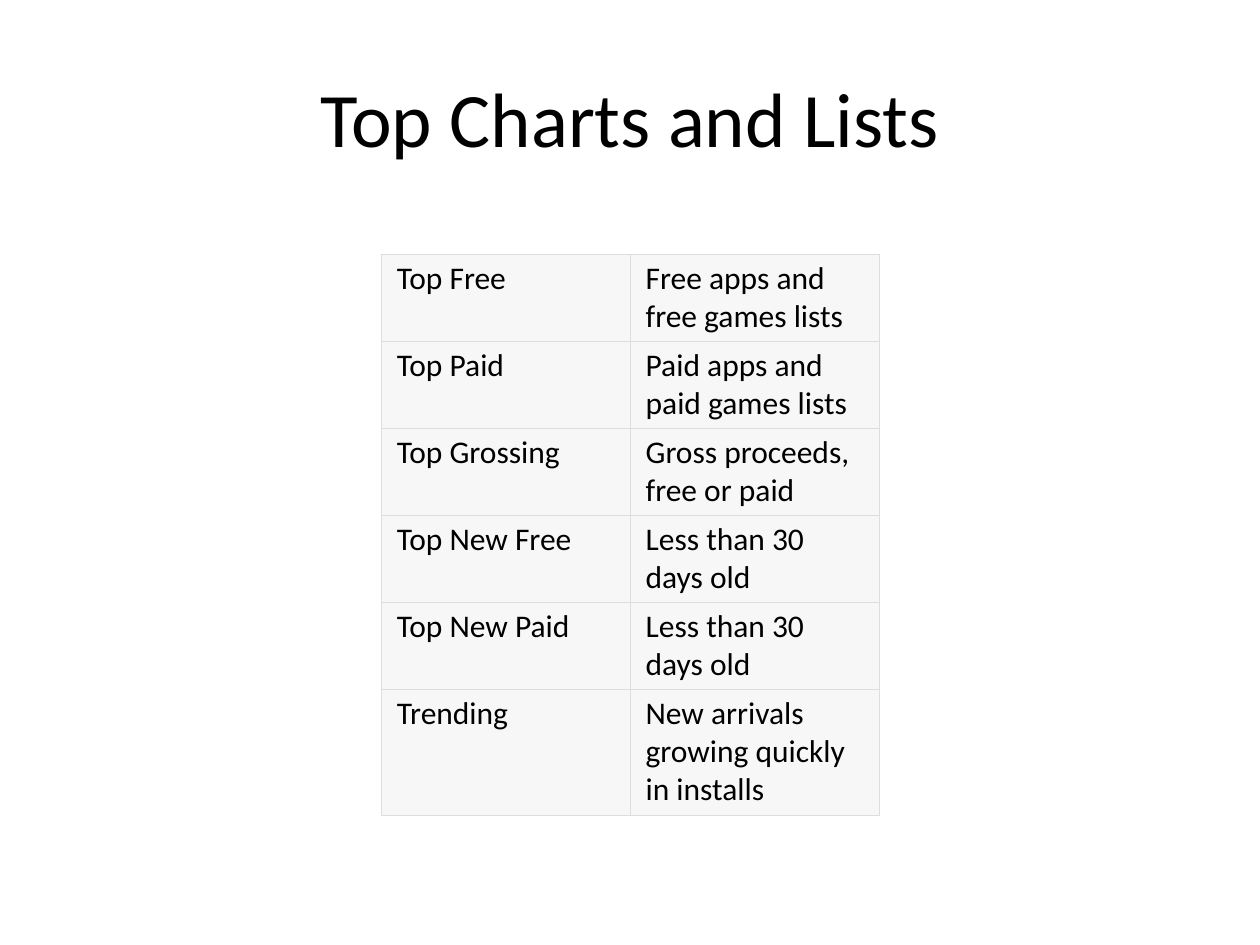
from lxml import etree
from pptx import Presentation
from pptx.dml.color import RGBColor
from pptx.enum.text import MSO_ANCHOR, PP_ALIGN
from pptx.oxml.ns import qn
from pptx.util import Inches, Pt

COLORS = {"text": "000000", "cell": "F7F7F7", "border": "DDDDDD"}
FONT = "Calibri"
CHARTS = [
    ("Top Free", "Free apps and free games lists"),
    ("Top Paid", "Paid apps and paid games lists"),
    ("Top Grossing", "Gross proceeds, free or paid"),
    ("Top New Free", "Less than 30 days old"),
    ("Top New Paid", "Less than 30 days old"),
    ("Trending", "New arrivals growing quickly in installs"),
]
ROW_HEIGHTS = [0.69] * 5 + [1.0]


def set_text(tf, text, size, align):
    tf.word_wrap = True
    p = tf.paragraphs[0]
    p.text = text
    p.alignment = align
    p.font.name = FONT
    p.font.size = Pt(size)
    p.font.color.rgb = RGBColor.from_string(COLORS["text"])


def set_borders(cell, color, width):
    tc_pr = cell._tc.get_or_add_tcPr()
    for i, side in enumerate(("lnL", "lnR", "lnT", "lnB")):
        ln = etree.Element(qn(f"a:{side}"), w=str(Pt(width)))
        fill = etree.SubElement(ln, qn("a:solidFill"))
        etree.SubElement(fill, qn("a:srgbClr"), val=color)
        tc_pr.insert(i, ln)  # borders come before the fill


def add_title(slide, text, left, top, width, height):
    sp = slide.shapes.add_textbox(Inches(left), Inches(top), Inches(width), Inches(height))
    sp.text_frame.vertical_anchor = MSO_ANCHOR.MIDDLE
    set_text(sp.text_frame, text, 44, PP_ALIGN.CENTER)


def add_chart_list(slide, rows, left, top, width):
    columns = len(rows[0])
    table = slide.shapes.add_table(
        len(rows), columns, Inches(left), Inches(top),
        Inches(width), Inches(sum(ROW_HEIGHTS))).table
    table.first_row = table.horz_banding = False
    for column in table.columns:
        column.width = Inches(width / columns)
    for row, height, texts in zip(table.rows, ROW_HEIGHTS, rows):
        row.height = Inches(height)
        for cell, text in zip(row.cells, texts):
            cell.margin_left = cell.margin_right = Inches(0.12)
            cell.margin_top = cell.margin_bottom = Inches(0.04)
            cell.fill.solid()
            cell.fill.fore_color.rgb = RGBColor.from_string(COLORS["cell"])
            set_borders(cell, COLORS["border"], 0.75)
            set_text(cell.text_frame, text, 18, PP_ALIGN.LEFT)


prs = Presentation()
prs.slide_width, prs.slide_height = Inches(10), Inches(7.5)
slide = prs.slides.add_slide(prs.slide_layouts[6])

# Title
add_title(slide, "Top Charts and Lists", 0.5, 0.3, 9, 1.25)

# Table of chart names and what they list
add_chart_list(slide, CHARTS, 3.03, 2.02, 3.95)

prs.save("out.pptx")
